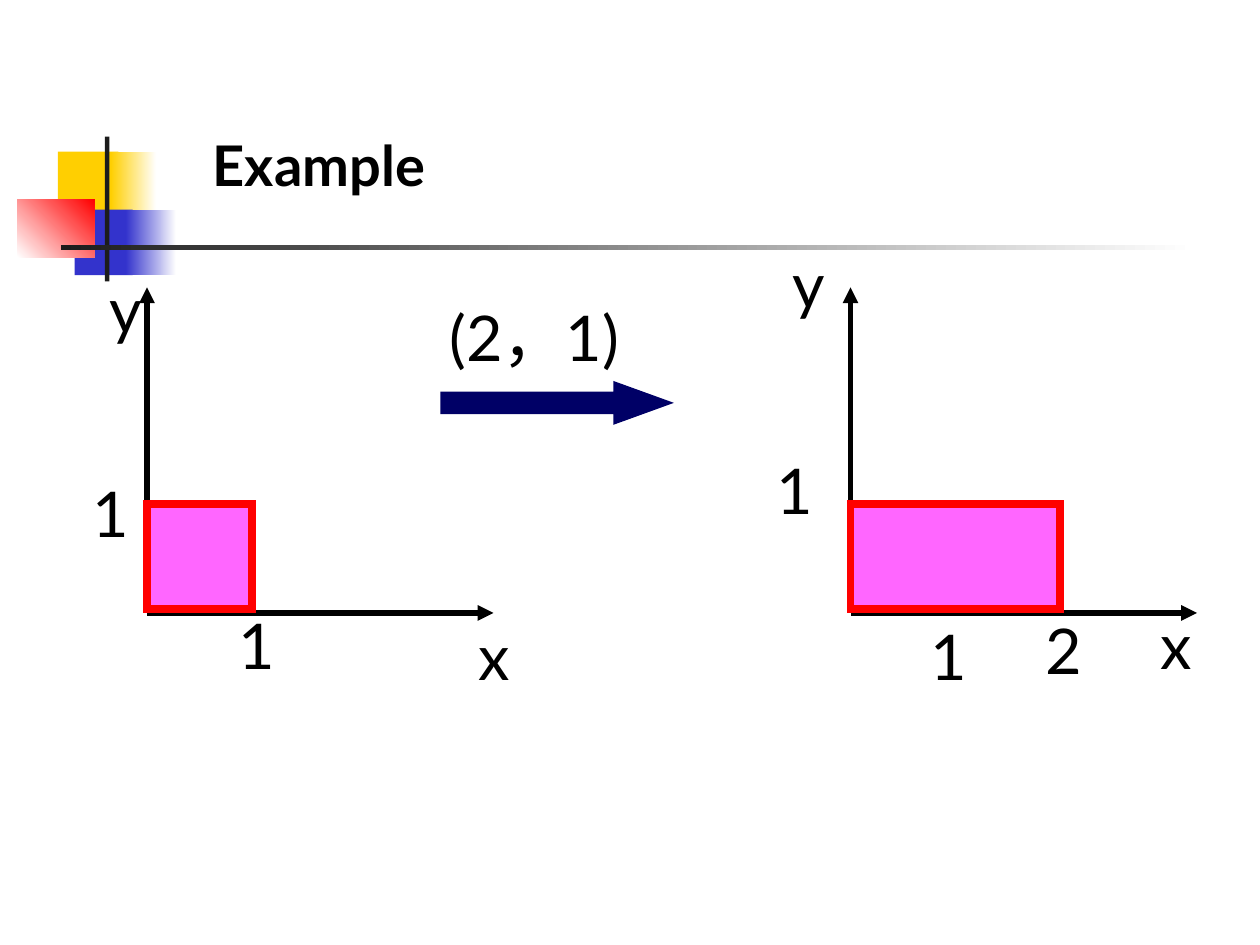
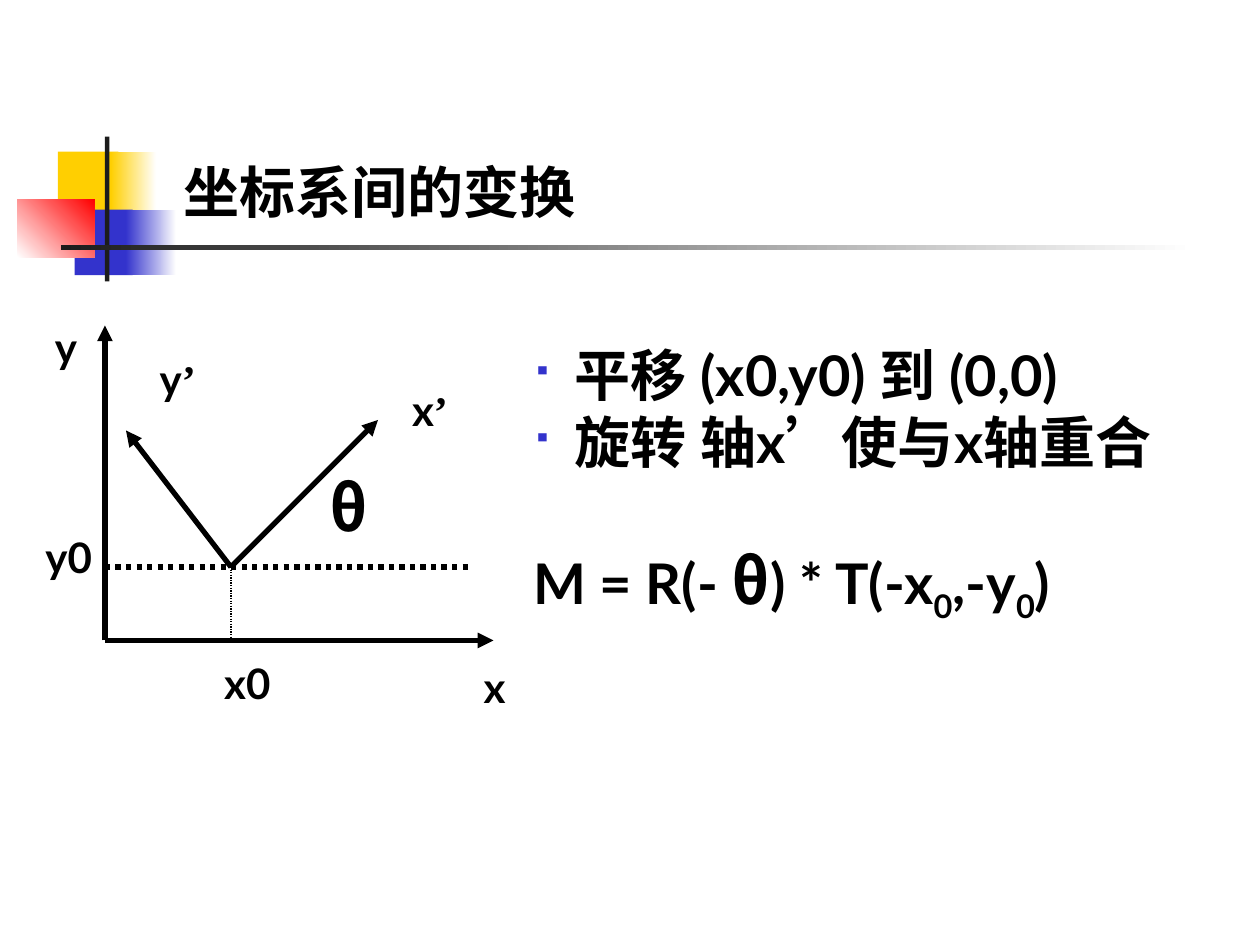
from dataclasses import dataclass
from typing import Any, NamedTuple

from lxml.etree import SubElement as Sub
from pptx import Presentation
from pptx.dml.color import RGBColor as Rgb
from pptx.enum.dml import MSO_LINE as Dash
from pptx.enum.shapes import MSO_CONNECTOR as Link, MSO_SHAPE as Kind
from pptx.enum.text import MSO_ANCHOR as Anchor, PP_ALIGN as Align
from pptx.oxml.ns import qn
from pptx.util import Pt

BLACK = Rgb(0x00, 0x00, 0x00)
WHITE = Rgb(0xFF, 0xFF, 0xFF)
GOLD = Rgb(0xFF, 0xCF, 0x01)
BLUE = Rgb(0x33, 0x33, 0xCC)
RED = Rgb(0xFF, 0x00, 0x00)
DARK = Rgb(0x1C, 0x1C, 0x1C)
NAVY = Rgb(0x00, 0x00, 0x66)
PINK = Rgb(0xFF, 0x66, 0xFF)
LATO, SANS, TIMES = "Lato", "Noto Sans CJK SC", "Times New Roman"


class Box(NamedTuple):
    x: float
    y: float
    w: float
    h: float


class Run(NamedTuple):
    text: str
    size: float
    bold: bool = True
    face: str = LATO
    base: int = 0


class Block(NamedTuple):
    box: Box
    fill: Rgb
    fade: Rgb | None = None
    angle: float = 0
    edge: Rgb | None = None
    width: float = 0
    kind: Any = Kind.RECTANGLE


@dataclass
class Para:
    runs: list[Run]
    bullet: bool = False
    before: float = 0


class Line(NamedTuple):
    x1: float
    y1: float
    x2: float
    y2: float
    width: float = 3
    arrow: bool = True
    dash: Any = None


class Label(NamedTuple):
    text: str
    x: float
    y: float
    w: float


FRAME = dict(word_wrap=True, vertical_anchor=Anchor.TOP, margin_left=Pt(7.2),
             margin_right=Pt(7.2), margin_top=Pt(3.6), margin_bottom=Pt(3.6))
TITLE = FRAME | dict(vertical_anchor=Anchor.BOTTOM)
LOOSE = FRAME | dict(word_wrap=False)
TIGHT = dict(word_wrap=False, vertical_anchor=Anchor.MIDDLE, margin_left=0,
             margin_right=0, margin_top=0, margin_bottom=0)

BAND = [
    Block(Box(33.1, 86.6, 34.6, 37.4), GOLD),
    Block(Box(63.4, 86.6, 25.9, 37.4), GOLD, WHITE),
    Block(Box(42.7, 119.8, 33.1, 37.4), BLUE),
    Block(Box(72, 119.8, 28.8, 37.4), BLUE, WHITE),
    Block(Box(10, 113.8, 44, 33.1), WHITE, RED, 45),
    Block(Box(59.9, 78, 2.6, 82.8), DARK),
    Block(Box(34.8, 140, 648, 2.8), DARK, WHITE),
]


def apply(item: Any, values: dict[str, Any]) -> None:
    for name, value in values.items():
        setattr(item, name, value)


def add_block(slide: Any, block: Block) -> Any:
    shape = slide.shapes.add_shape(block.kind, *map(Pt, block.box))
    shape.shadow.inherit = False
    if block.fade is None:
        shape.fill.solid()
        shape.fill.fore_color.rgb = block.fill
    else:
        shape.fill.gradient()
        shape.fill.gradient_angle = block.angle
        for stop, color in zip(shape.fill.gradient_stops, (block.fill, block.fade)):
            stop.color.rgb = color
    if block.edge is None:
        shape.line.fill.background()
    else:
        shape.line.color.rgb = block.edge
        shape.line.width = Pt(block.width)
        Sub(shape.line._get_or_add_ln(), qn("a:miter"), lim="800000")
    return shape


def add_line(slide: Any, line: Line) -> None:
    ends = map(Pt, (line.x1, line.y1, line.x2, line.y2))
    link = slide.shapes.add_connector(Link.STRAIGHT, *ends)
    link.line.color.rgb = BLACK
    apply(link.line, dict(width=Pt(line.width), dash_style=line.dash))
    if line.arrow:
        Sub(link.line._get_or_add_ln(), qn("a:tailEnd"), type="triangle")
    Sub(link._element.spPr, qn("a:effectLst"))


def add_bullet(para: Any) -> None:
    props = para._p.get_or_add_pPr()
    props.set("marL", str(Pt(16)))
    props.set("indent", str(Pt(-16)))
    Sub(Sub(props, qn("a:buClr")), qn("a:srgbClr"), val=str(BLUE))
    Sub(props, qn("a:buSzPct"), val="45000")
    Sub(props, qn("a:buChar"), char="▪")


def add_text(slide: Any, box: Box, paras: list[Para], frame: dict[str, Any],
             align: Any = Align.LEFT) -> None:
    body = slide.shapes.add_textbox(*map(Pt, box)).text_frame
    apply(body, frame)
    for index, item in enumerate(paras):
        para = body.add_paragraph() if index else body.paragraphs[0]
        para.alignment = align
        if item.before:
            para.space_before = Pt(item.before)
        if item.bullet:
            add_bullet(para)
        for part in item.runs:
            run = para.add_run()
            run.text = part.text
            apply(run.font, dict(name=part.face, size=Pt(part.size), bold=part.bold))
            run.font.color.rgb = BLACK
            props = run._r.get_or_add_rPr()
            Sub(props, qn("a:ea"), typeface=part.face)
            if part.base:
                props.set("baseline", str(part.base * 1000))


def add_page(deck: Any, title: str, box: Box) -> Any:
    slide = deck.slides.add_slide(deck.slide_layouts[6])
    for block in BAND:
        add_block(slide, block)
    add_text(slide, box, [Para([Run(title, 32)])], TITLE)
    return slide


def add_scale(deck: Any) -> None:
    slide = add_page(deck, "Example", Box(114.5, 23.8, 329, 92.9))
    unit, base = 60, 350.3
    for left, count in ((84, 1), (486, 2)):
        add_line(slide, Line(left, base, left, 164.2))
        add_line(slide, Line(left, base, left + 198, base))
        add_block(slide, Block(Box(left, 288, count * unit, unit), PINK,
                               edge=RED, width=4.5))
    arrow = add_block(slide, Block(Box(252, 218.2, 132, 24), NAVY, edge=NAVY,
                                   width=0.75, kind=Kind.RIGHT_ARROW))
    arrow.adjustments[1] = 1.38
    labels = [
        Label("1", 136.4, 346.8, 20.9), Label("1", 53, 271.4, 20.9),
        Label("(2，1)", 247.4, 170.6, 115.9), Label("1", 531.8, 352.8, 20.9),
        Label("2", 597.6, 349.2, 20.9), Label("x", 272.6, 352.8, 19.4),
        Label("y", 62.6, 154.8, 18.7), Label("x", 662.4, 346.8, 19.4),
        Label("y", 452.9, 140.4, 18.7), Label("1", 443.5, 257.8, 20.9),
    ]
    for label in labels:
        add_text(slide, Box(label.x, label.y, label.w, 43.2),
                 [Para([Run(label.text, 36, False)])], TIGHT, Align.CENTER)


def add_frames(deck: Any) -> None:
    slide = add_page(deck, "坐标系间的变换", Box(98, 16.6, 607, 115.2))
    left, base, x0, y0 = 60, 366, 132, 324
    for line in (
        Line(left, base, 282, base),
        Line(left, base, left, 186),
        Line(x0, y0, 216, 240),
        Line(x0, y0, 72, 246),
        Line(left, y0, 270, y0, 3, False, Dash.ROUND_DOT),
        Line(x0, y0, x0, base, 0.75, False, Dash.ROUND_DOT),
    ):
        add_line(slide, line)
    for label in (
        Label("x", 269.3, 374.6, 28.1), Label("y", 24.3, 180, 28.1),
        Label("x’", 228.4, 216, 36), Label("y’", 84.2, 198.2, 36),
        Label("x0", 121, 372.2, 41.8), Label("y0", 18.9, 300.2, 41.8),
    ):
        runs = [Run(label.text.rstrip("’"), 24)]
        if label.text.endswith("’"):
            runs.append(Run("’", 24, face=TIMES))
        add_text(slide, Box(label.x, label.y, label.w, 36), [Para(runs)], LOOSE)
    theta = Run("θ", 36, face=SANS)
    add_text(slide, Box(181, 264, 36.7, 50.4), [Para([theta])], LOOSE)
    sub = Run("0", 32, base=-25)
    steps = [
        Para([Run(" 平移 (x0,y0) 到 (0,0)", 32)], True),
        Para([Run(" 旋转 轴x", 32), Run("’", 32, face=SANS),
              Run("使与x轴重合", 32)], True),
        Para([Run("M = R(- ", 32), theta, Run(") * T(-x", 32), sub,
              Run(",-y", 32), sub, Run(")", 32)], before=38.4),
    ]
    add_text(slide, Box(297.6, 190.8, 390, 268), steps, FRAME)


def main() -> None:
    deck = Presentation()
    apply(deck, dict(slide_width=Pt(720), slide_height=Pt(540)))
    add_scale(deck)
    add_frames(deck)
    deck.save("out.pptx")


if __name__ == "__main__":
    main()
